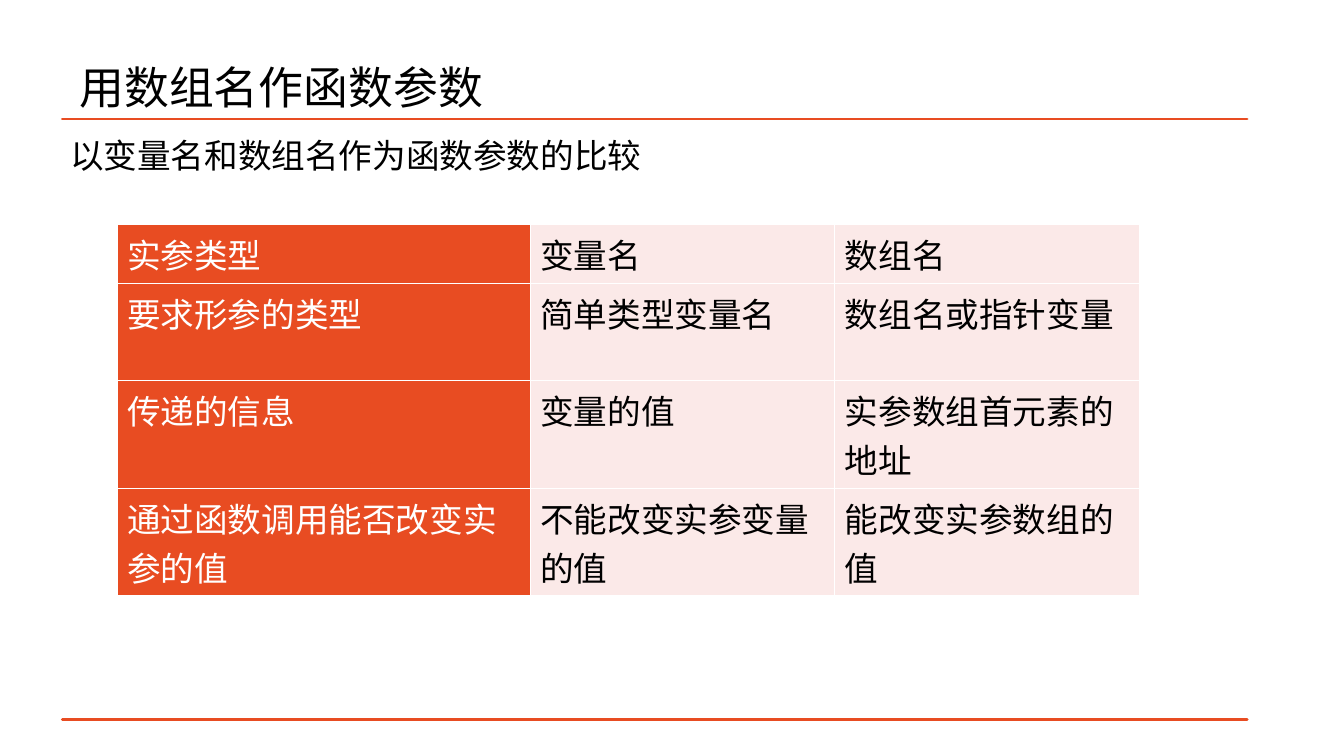
import pptx
import pptx.util
import pptx.dml.color
import pptx.enum.text
import pptx.oxml.ns
import lxml.etree

Cm = pptx.util.Cm
Pt = pptx.util.Pt
qn = pptx.oxml.ns.qn
ALIGN = pptx.enum.text.PP_ALIGN
ANCHOR = pptx.enum.text.MSO_ANCHOR


def color(value):
    return pptx.dml.color.RGBColor.from_string(value)


class Deck:
    FONT = "Noto Sans CJK SC"
    ACCENT = "E84C22"
    TINT = "FBE9E8"
    BLACK = "000000"
    WHITE = "FFFFFF"

    def __init__(self):
        self.prs = pptx.Presentation()
        self.prs.slide_width = Cm(33.87)
        self.prs.slide_height = Cm(19.05)
        self.slide = None

    def add_slide(self):
        self.slide = self.prs.slides.add_slide(self.prs.slide_layouts[5])

    def style(self, p, size, hex_color, align=ALIGN.LEFT):
        p.alignment = align
        p.font.size = Pt(size)
        p.font.name = self.FONT
        p.font.color.rgb = color(hex_color)
        rpr = p._p.pPr.find(qn("a:defRPr"))
        ea = lxml.etree.Element(qn("a:ea"), typeface=self.FONT)
        rpr.find(qn("a:latin")).addnext(ea)

    def title(self, text, left, top, width, height):
        sp = self.slide.shapes.title
        sp.left, sp.top = Cm(left), Cm(top)
        sp.width, sp.height = Cm(width), Cm(height)
        tf = sp.text_frame
        tf.text = text
        tf.vertical_anchor = ANCHOR.MIDDLE
        p = tf.paragraphs[0]
        p.line_spacing = 0.9
        self.style(p, 32, self.BLACK)

    def ruled_text(self, text, left, top, width, height):
        x1, x2 = Cm(left), Cm(left + width)
        y1, y2 = Cm(top), Cm(top + height)
        builder = self.slide.shapes.build_freeform(x1, y2)
        builder.add_line_segments([(x2, y2), (x1, y2)], close=True)
        builder.move_to(x1, y1)
        builder.add_line_segments([(x2, y1), (x1, y1)], close=True)
        sp = builder.convert_to_shape()
        sp.shadow.inherit = False
        sp.fill.background()
        sp.line.color.rgb = color(self.ACCENT)
        sp.line.width = Pt(2)
        tf = sp.text_frame
        tf.text = text
        tf.word_wrap = True
        tf.vertical_anchor = ANCHOR.TOP
        tf.margin_left = tf.margin_right = Cm(0.2)
        tf.margin_top = tf.margin_bottom = Cm(0.2)
        p = tf.paragraphs[0]
        p.line_spacing = 1.2
        p.space_after = Pt(6)
        self.style(p, 24, self.BLACK, ALIGN.JUSTIFY)

    def borders(self, cell):
        tcpr = cell._tc.get_or_add_tcPr()
        for side in ("lnL", "lnR", "lnT", "lnB"):
            ln = lxml.etree.SubElement(tcpr, qn("a:" + side), w=str(Pt(1)))
            fill = lxml.etree.SubElement(ln, qn("a:solidFill"))
            lxml.etree.SubElement(fill, qn("a:srgbClr"), val=self.WHITE)

    def table(self, rows, left, top, widths, heights):
        frame = self.slide.shapes.add_table(
            len(rows), len(widths), Cm(left), Cm(top),
            Cm(sum(widths)), Cm(sum(heights)))
        table = frame.table
        table.first_row = False
        table.first_col = True
        table.horz_banding = False
        for column, width in zip(table.columns, widths):
            column.width = Cm(width)
        for row, height, texts in zip(table.rows, heights, rows):
            row.height = Cm(height)
            for i, (cell, text) in enumerate(zip(row.cells, texts)):
                cell.text = text
                self.borders(cell)
                cell.fill.solid()
                cell.fill.fore_color.rgb = color(self.TINT if i else self.ACCENT)
                p = cell.text_frame.paragraphs[0]
                p.font.bold = False
                self.style(p, 24, self.BLACK if i else self.WHITE)


def main():
    deck = Deck()
    deck.add_slide()
    deck.title("用数组名作函数参数", 1.75, 0.94, 29.21, 2.64)
    deck.ruled_text("以变量名和数组名作为函数参数的比较", 1.57, 3, 29.86, 15.13)
    rows = [
        ("实参类型", "变量名", "数组名"),
        ("要求形参的类型", "简单类型变量名", "数组名或指针变量"),
        ("传递的信息", "变量的值", "实参数组首元素的地址"),
        ("通过函数调用能否改变实参的值", "不能改变实参变量的值", "能改变实参数组的值"),
    ]
    deck.table(rows, 2.95, 5.66, (10.41, 7.68, 7.68), (1.37, 2.45, 2.45, 2.45))
    deck.prs.save("out.pptx")


if __name__ == "__main__":
    main()
